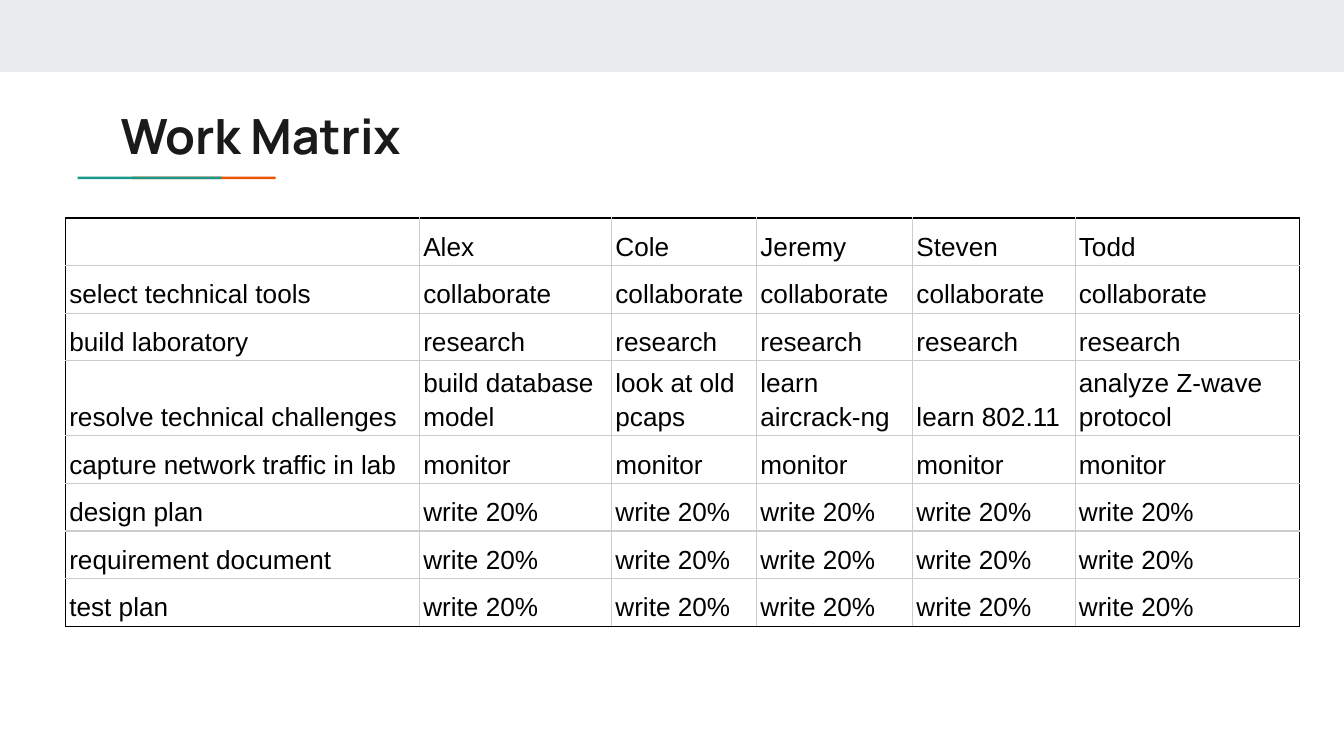
import pptx
import pptx.util
import pptx.dml.color
import pptx.enum.shapes
import pptx.enum.text
import pptx.oxml
from pptx.util import Cm, Pt

COLORS = {
    "band": "E9EDEE", "teal": "1A9988", "orange": "EB5600",
    "title": "1A1A1A", "text": "000000", "frame": "000000", "grid": "CCCCCC",
}
TITLE = "Work Matrix"
PEOPLE = ["Alex", "Cole", "Jeremy", "Steven", "Todd"]
# Each task has one entry per person, or a single entry shared by all
TASKS = [
    ("select technical tools", ["collaborate"]),
    ("build laboratory", ["research"]),
    ("resolve technical challenges",
     ["build database model", "look at old pcaps", "learn aircrack-ng",
      "learn 802.11", "analyze Z-wave protocol"]),
    ("capture network traffic in lab", ["monitor"]),
    ("design plan", ["write 20%"]),
    ("requirement document", ["write 20%"]),
    ("test plan", ["write 20%"]),
]
COLUMN_WIDTHS = [6.69, 3.63, 2.74, 2.95, 3.07, 4.24]
# The tall row grows to fit its two lines of text
ROW_HEIGHT, TALL_ROW_HEIGHT = 0.9, 1.19
# Colour, left, top, width, height in cm; the teal bar overlaps the orange one
BARS = [
    ("band", 0, 0, 25.4, 1.36),
    ("orange", 2.49, 3.34, 2.72, 0.05),
    ("teal", 1.47, 3.34, 2.72, 0.05),
]


def rgb(name):
    return pptx.dml.color.RGBColor.from_string(COLORS[name])


def format_runs(paragraph, font_name, size, color, bold=False):
    for run in paragraph.runs:
        run.font.name = font_name
        run.font.size = Pt(size)
        run.font.bold = bold
        run.font.color.rgb = rgb(color)


def set_borders(cell, sides):
    properties = cell._tc.get_or_add_tcPr()
    for index, (side, color) in enumerate(sides.items()):
        line = pptx.oxml.parse_xml(
            f'<a:ln{side} xmlns:a="http://schemas.openxmlformats.org/drawingml/2006/main" '
            f'w="{Pt(0.75)}"><a:solidFill><a:srgbClr val="{COLORS[color]}"/>'
            f'</a:solidFill></a:ln{side}>')
        properties.insert(index, line)


presentation = pptx.Presentation()
presentation.slide_width, presentation.slide_height = Cm(25.4), Cm(14.29)
slide = presentation.slides.add_slide(presentation.slide_layouts[5])

# Top band and two-coloured title underline
for color, *box in BARS:
    shape = slide.shapes.add_shape(
        pptx.enum.shapes.MSO_SHAPE.RECTANGLE, *map(Cm, box))
    shape.shadow.inherit = False
    shape.fill.solid()
    shape.fill.fore_color.rgb = rgb(color)
    shape.line.fill.background()

# Title
title = slide.shapes.title
title.left, title.top, title.width, title.height = map(Cm, (2.03, 1.76, 21.36, 1.5))
frame = title.text_frame
frame.text = TITLE
frame.word_wrap = True
frame.auto_size = pptx.enum.text.MSO_AUTO_SIZE.NONE
frame.vertical_anchor = pptx.enum.text.MSO_ANCHOR.TOP
frame.margin_left = frame.margin_right = Cm(0.25)
frame.margin_top = frame.margin_bottom = Cm(0.25)
frame.paragraphs[0].alignment = pptx.enum.text.PP_ALIGN.LEFT
format_runs(frame.paragraphs[0], "Manrope", 26, "title", bold=True)

# Work matrix
rows = [["", *PEOPLE]]
for task, entries in TASKS:
    shared = len(entries) == 1
    rows.append([task, *(entries * len(PEOPLE) if shared else entries)])
heights = [ROW_HEIGHT] + [
    ROW_HEIGHT if len(entries) == 1 else TALL_ROW_HEIGHT for _, entries in TASKS]
last_row, last_column = len(rows) - 1, len(COLUMN_WIDTHS) - 1
table = slide.shapes.add_table(
    len(rows), len(COLUMN_WIDTHS), Cm(1.24), Cm(4.12),
    Cm(sum(COLUMN_WIDTHS)), Cm(sum(heights))).table
table.first_row = table.horz_banding = False
for column, width in zip(table.columns, COLUMN_WIDTHS):
    column.width = Cm(width)
for row, height in zip(table.rows, heights):
    row.height = Cm(height)

for row_index, texts in enumerate(rows):
    for column_index, text in enumerate(texts):
        cell = table.cell(row_index, column_index)
        cell.text = text
        cell.fill.background()
        cell.vertical_anchor = pptx.enum.text.MSO_ANCHOR.BOTTOM
        cell.margin_left = cell.margin_right = Cm(0.07)
        cell.margin_top = cell.margin_bottom = Cm(0.07)
        paragraph = cell.text_frame.paragraphs[0]
        paragraph.line_spacing = 1.15
        paragraph.font.size = Pt(14)
        format_runs(paragraph, "Arial", 14, "text")
        outer = {"L": column_index == 0, "R": column_index == last_column,
                 "T": row_index == 0, "B": row_index == last_row}
        set_borders(cell, {side: "frame" if edge else "grid"
                           for side, edge in outer.items()})

presentation.save("out.pptx")
